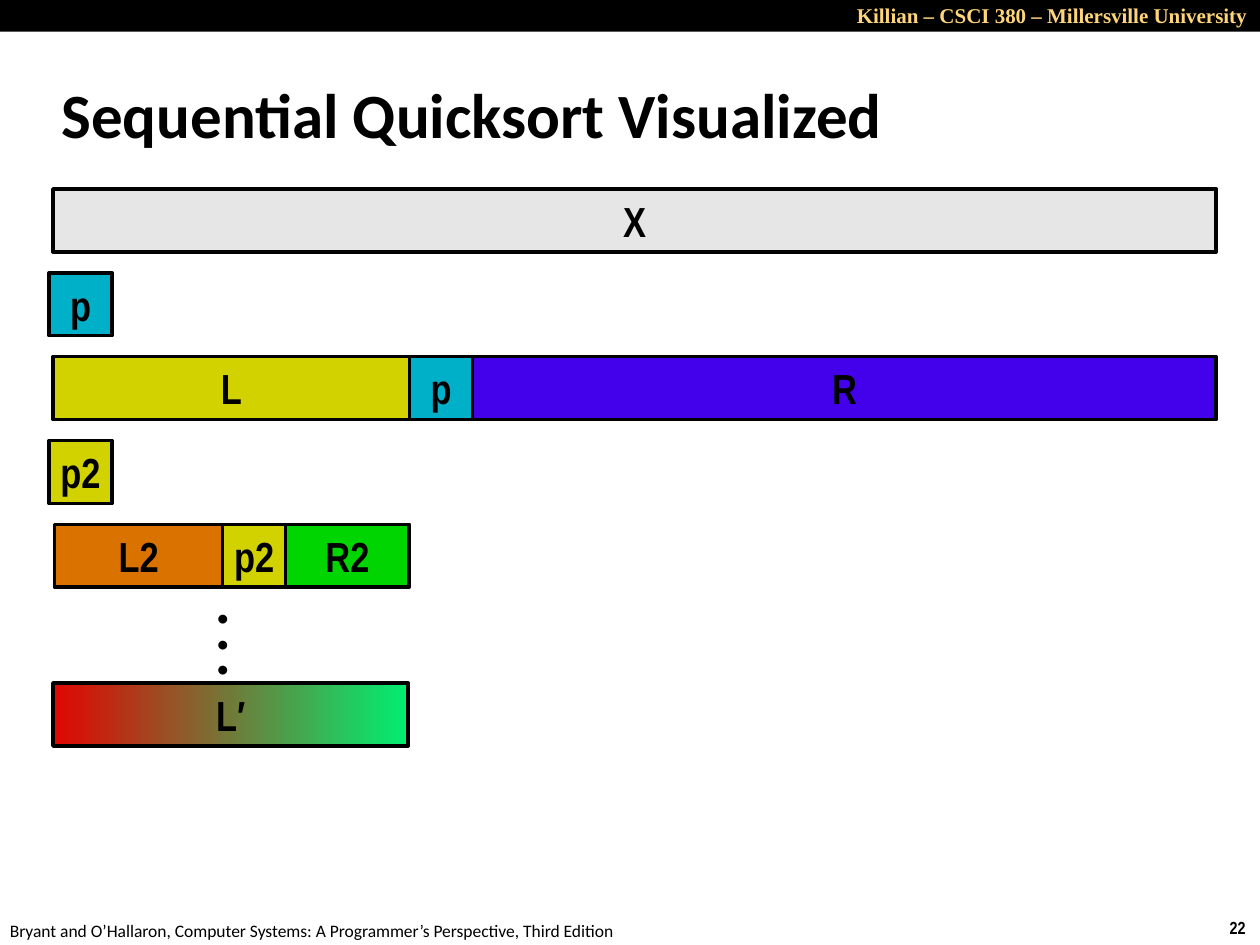
from pptx import Presentation
from pptx.dml.color import RGBColor
from pptx.enum.shapes import MSO_SHAPE
from pptx.enum.text import MSO_ANCHOR, MSO_AUTO_SIZE, PP_ALIGN
from pptx.util import Cm, Pt

RECT = MSO_SHAPE.RECTANGLE
TOP, MIDDLE = MSO_ANCHOR.TOP, MSO_ANCHOR.MIDDLE
LEFT, CENTER, RIGHT = PP_ALIGN.LEFT, PP_ALIGN.CENTER, PP_ALIGN.RIGHT
GROW = MSO_AUTO_SIZE.SHAPE_TO_FIT_TEXT

BLACK = RGBColor(0x00, 0x00, 0x00)
GOLD = RGBColor(0xFF, 0xD5, 0x79)
GREY = RGBColor(0xE6, 0xE6, 0xE6)
CYAN = RGBColor(0x00, 0xB0, 0xC8)
YELLOW = RGBColor(0xD2, 0xD2, 0x00)
VIOLET = RGBColor(0x43, 0x00, 0xEA)
ORANGE = RGBColor(0xDA, 0x72, 0x00)
GREEN = RGBColor(0x01, 0xD5, 0x01)
RED = RGBColor(0xE1, 0x06, 0x01)
MINT = RGBColor(0x00, 0xEE, 0x71)

# Content, lengths in cm
BOX = 1.27
ROW_TOP, ROW_PITCH = 3.81, 1.69
SORTED_TOP = 13.77

# Each row: left edge, then (label, width, colour) from left to right;
# a list of two colours is a gradient
ROWS = [
    (1.07, [("X", 23.45, GREY)]),
    (0.99, [("p", BOX, CYAN)]),
    (1.07, [("L", 7.19, YELLOW), ("p", BOX, CYAN), ("R", 14.99, VIOLET)]),
    (0.99, [("p2", BOX, YELLOW)]),
    (1.10, [("L2", 3.39, ORANGE), ("p2", BOX, YELLOW), ("R2", 2.49, GREEN)]),
]
SORTED_ROW = (1.07, [("L′", 7.16, [RED, MINT])])

LABEL_FONT = {"name": "Arial Narrow", "size": Pt(24), "bold": True}

# Text boxes: lines, (left, top, width, height), font, colour, frame, alignment
FIT = {"word_wrap": False, "auto_size": GROW, "vertical_anchor": TOP}
TEXTS = [
    (["Killian – CSCI 380 – Millersville University"], (11.43, -0.08, 13.97, 0.76),
     {"name": "Times New Roman", "size": Pt(12), "bold": True}, GOLD,
     {"word_wrap": True, "auto_size": GROW}, RIGHT),
    (["Sequential Quicksort Visualized"], (0.99, 1.24, 21.08, 2.11),
     {"name": "Calibri", "size": Pt(36), "bold": True}, BLACK,
     {"word_wrap": True, "vertical_anchor": MIDDLE}, LEFT),
    (["•", "•", "•"], (4.14, 12.07, 0.71, 1.8),
     {"name": "Calibri", "size": Pt(12), "bold": True}, BLACK, FIT, LEFT),
    (["Bryant and O’Hallaron, Computer Systems: A Programmer’s Perspective, "
      "Third Edition"], (-0.05, 18.42, 12.9, 0.69),
     {"name": "Calibri", "size": Pt(10), "bold": False}, BLACK, FIT, LEFT),
    (["22"], (24.54, 18.36, 0.86, 0.69),
     {"name": "Arial Narrow", "size": Pt(10), "bold": True}, BLACK, FIT, LEFT),
]


def set_attrs(obj, values):
    for key, value in values.items():
        setattr(obj, key, value)


def write(tf, lines, font, color, frame, align):
    set_attrs(tf, frame)
    for i, line in enumerate(lines):
        p = tf.add_paragraph() if i else tf.paragraphs[0]
        p.alignment = align
        r = p.add_run()
        r.text = line
        set_attrs(r.font, font)
        r.font.color.rgb = color


def add_rect(s, left, top, width, height, fill):
    sp = s.shapes.add_shape(RECT, Cm(left), Cm(top), Cm(width), Cm(height))
    sp.shadow.inherit = False
    if isinstance(fill, list):
        sp.fill.gradient()
        sp.fill.gradient_angle = 0
        for stop, color in zip(sp.fill.gradient_stops, fill):
            stop.color.rgb = color
    else:
        sp.fill.solid()
        sp.fill.fore_color.rgb = fill
    return sp


def add_row(s, top, left, cells):
    for label, width, fill in cells:
        sp = add_rect(s, left, top, width, BOX, fill)
        sp.line.color.rgb = BLACK
        sp.line.width = Pt(2)
        write(sp.text_frame, [label], LABEL_FONT, BLACK,
              {"word_wrap": False, "vertical_anchor": MIDDLE}, CENTER)
        left += width


def main():
    prs = Presentation()
    prs.slide_width, prs.slide_height = Cm(25.4), Cm(19.05)
    s = prs.slides.add_slide(prs.slide_layouts[6])

    # Header band
    band = add_rect(s, 0, 0, 25.4, 0.64, BLACK)
    band.line.fill.background()

    # Title, header, footer and dots
    for lines, place, font, color, frame, align in TEXTS:
        tb = s.shapes.add_textbox(*(Cm(v) for v in place))
        write(tb.text_frame, lines, font, color, frame, align)

    # Partition steps, then the sorted left part
    for i, (left, cells) in enumerate(ROWS):
        add_row(s, ROW_TOP + i * ROW_PITCH, left, cells)
    add_row(s, SORTED_TOP, *SORTED_ROW)

    prs.save("out.pptx")


if __name__ == "__main__":
    main()
